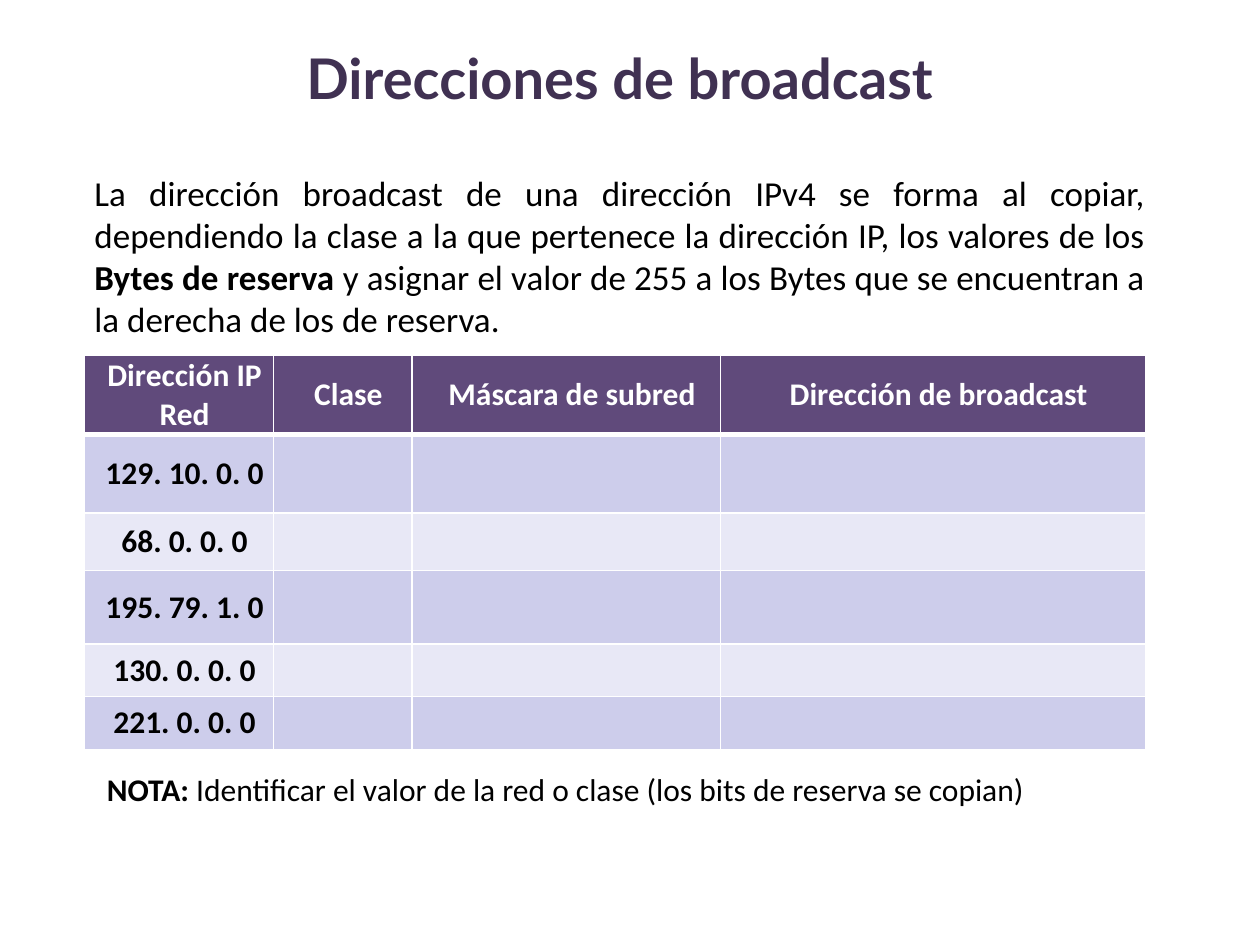
from dataclasses import dataclass

from lxml import etree
from pptx import Presentation, util as u
from pptx.dml.color import RGBColor
from pptx.enum import text as t
from pptx.oxml import ns

WIDE, HIGH = 10, 7.5
HUES = {
    "title": "403152",
    "ink": "000000",
    "head": "604A7B",
    "odd": "CDCDEB",
    "even": "E8E8F6",
    "white": "FFFFFF",
}
COLS = [1.5, 1.1, 2.45, 3.37]
ROWS = [0.63, 0.62, 0.46, 0.58, 0.42, 0.42]
HEADS = ["Dirección IP Red", "Clase", "Máscara de subred", "Dirección de broadcast"]
NETS = ["129. 10. 0. 0", "68. 0. 0. 0", "195. 79. 1. 0", "130. 0. 0. 0", "221. 0. 0. 0"]


@dataclass
class Run:
    text: str
    bold: bool = False


@dataclass
class Block:
    top: float
    tall: float
    size: int
    runs: list[Run]
    inset: tuple[float, float] = (0, 0)
    font: str = "Calibri"
    hue: str = "ink"
    align: t.PP_ALIGN = t.PP_ALIGN.JUSTIFY
    anchor: t.MSO_ANCHOR = t.MSO_ANCHOR.TOP


BLOCKS = [
    Block(1.73, 10, 32, [Run("Direcciones de broadcast", True)], (0, 0.21),
          "Lato", "title", t.PP_ALIGN.CENTER, t.MSO_ANCHOR.MIDDLE),
    Block(18.13, 18, 20, [
        Run("La dirección broadcast de una dirección IPv4 se forma al copiar, "
            "dependiendo la clase a la que pertenece la dirección IP, "
            "los valores de los "),
        Run("Bytes de reserva ", True),
        Run("y asignar el valor de 255 a los Bytes que se encuentran "
            "a la derecha de los de reserva."),
    ]),
    Block(80.8, 5.33, 18, [
        Run("NOTA: ", True),
        Run("Identificar el valor de la red o clase (los bits de reserva se copian)"),
    ], (0.1, 0.05)),
]


def across(share: float) -> int:
    return u.Inches(WIDE * share / 100)


def down(share: float) -> int:
    return u.Inches(HIGH * share / 100)


def write(para, run: Run, size: int, font: str, hue: str) -> None:
    part = para.add_run()
    part.text = run.text
    part.font.size = u.Pt(size)
    part.font.name = font
    part.font.bold = run.bold
    part.font.color.rgb = RGBColor.from_string(HUES[hue])


def draw_block(slide, block: Block) -> None:
    box = slide.shapes.add_textbox(
        across(7.5), down(block.top), across(83.4), down(block.tall))
    frame = box.text_frame
    frame.word_wrap = True
    frame.vertical_anchor = block.anchor
    side, head = block.inset
    frame.margin_left = frame.margin_right = u.Inches(side)
    frame.margin_top = u.Inches(head)
    frame.margin_bottom = u.Inches(head if side else 0)
    para = frame.paragraphs[0]
    para.alignment = block.align
    for run in block.runs:
        write(para, run, block.size, block.font, block.hue)


def edge(cell, row: int) -> None:
    props = cell._tc.get_or_add_tcPr()
    thick = {"T": 3 if row == 1 else 1, "B": 3 if row == 0 else 1}
    for spot, side in enumerate("LRTB"):
        line = etree.Element(ns.qn(f"a:ln{side}"), w=str(u.Pt(thick.get(side, 1))))
        fill = etree.SubElement(line, ns.qn("a:solidFill"))
        etree.SubElement(fill, ns.qn("a:srgbClr"), val=HUES["white"])
        props.insert(spot, line)


def draw_cell(cell, row: int, label: str) -> None:
    hue = "head" if row == 0 else "odd" if row % 2 else "even"
    cell.fill.solid()
    cell.fill.fore_color.rgb = RGBColor.from_string(HUES[hue])
    edge(cell, row)
    cell.margin_left = cell.margin_right = cell.margin_top = cell.margin_bottom = 0
    cell.vertical_anchor = t.MSO_ANCHOR.MIDDLE
    if label:
        para = cell.text_frame.paragraphs[0]
        para.alignment = t.PP_ALIGN.CENTER
        para._p.get_or_add_pPr().set("marL", str(u.Inches(0.09)))
        write(para, Run(label, True), 18, "Calibri", "ink" if row else "white")


def draw_table(slide) -> None:
    grid = slide.shapes.add_table(
        len(ROWS), len(COLS), across(6.7), down(37.6),
        u.Inches(sum(COLS)), u.Inches(sum(ROWS))).table
    for col, wide in zip(grid.columns, COLS):
        col.width = u.Inches(wide)
    for row, tall in zip(grid.rows, ROWS):
        row.height = u.Inches(tall)
    labels = [HEADS] + [[net, "", "", ""] for net in NETS]
    for row, line in enumerate(labels):
        for col, label in enumerate(line):
            draw_cell(grid.cell(row, col), row, label)


def main() -> None:
    deck = Presentation()
    deck.slide_width, deck.slide_height = u.Inches(WIDE), u.Inches(HIGH)
    slide = deck.slides.add_slide(deck.slide_layouts[6])
    for block in BLOCKS:
        draw_block(slide, block)
    draw_table(slide)
    deck.save("out.pptx")


if __name__ == "__main__":
    main()
